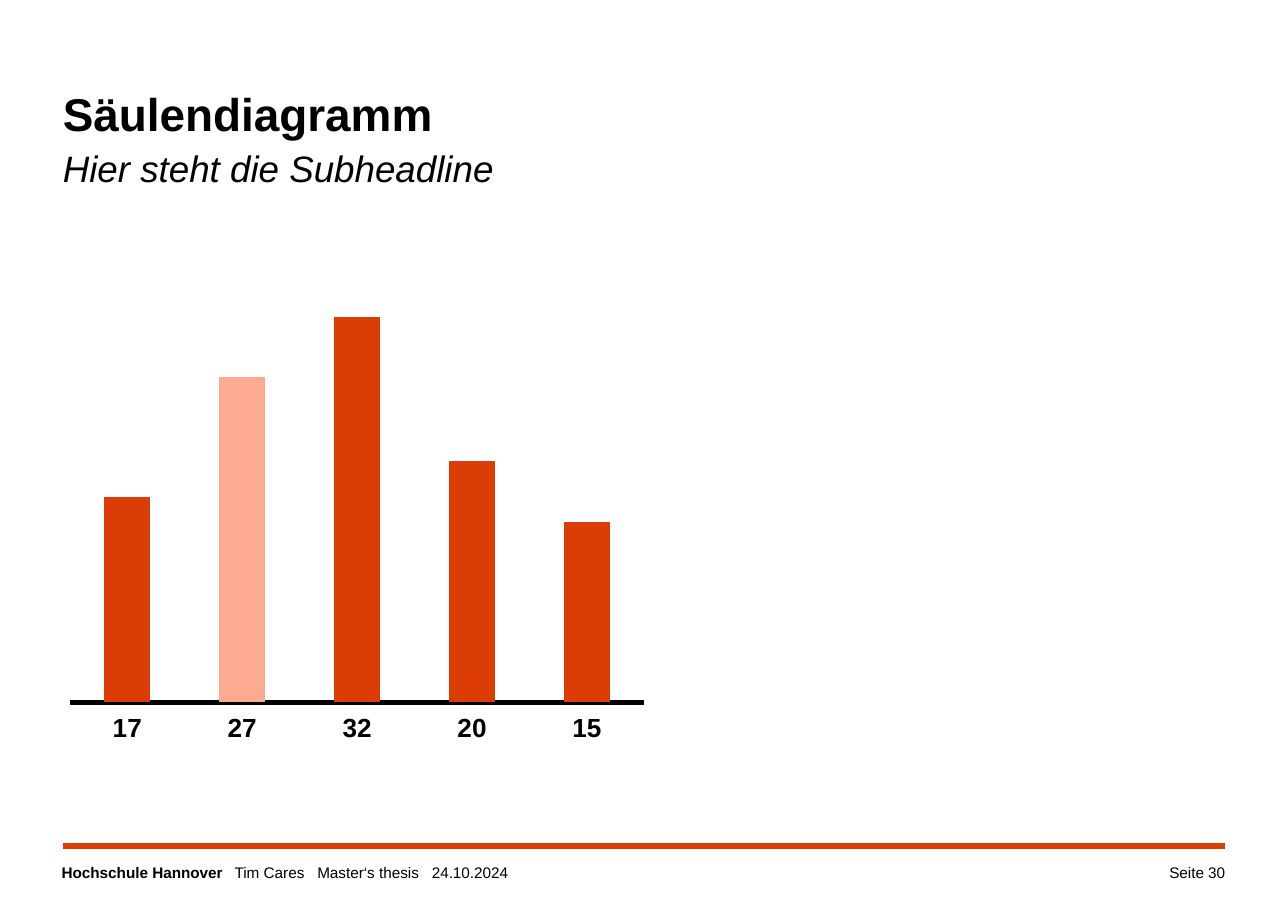
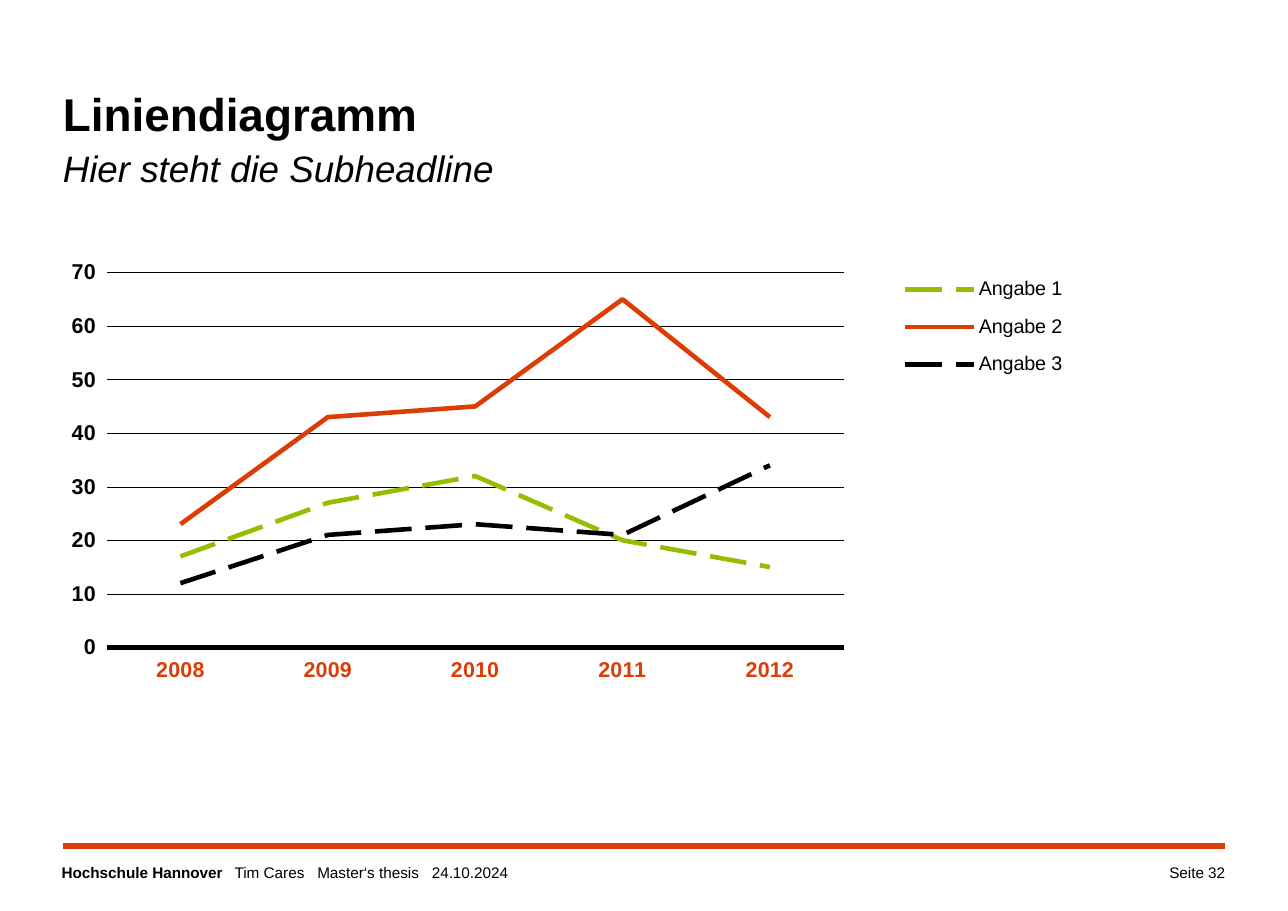
from lxml import etree
from pptx import Presentation
from pptx.chart.data import CategoryChartData
from pptx.dml.color import RGBColor
from pptx.enum.chart import (XL_CHART_TYPE, XL_LEGEND_POSITION, XL_TICK_LABEL_POSITION,
                             XL_TICK_MARK)
from pptx.enum.dml import MSO_LINE
from pptx.enum.shapes import MSO_CONNECTOR
from pptx.enum.text import MSO_ANCHOR, PP_ALIGN
from pptx.oxml.ns import qn
from pptx.util import Pt

COLUMN, LINE = XL_CHART_TYPE.COLUMN_CLUSTERED, XL_CHART_TYPE.LINE
SOLID, DASH = MSO_LINE.SOLID, MSO_LINE.LONG_DASH
LEFT, RIGHT = PP_ALIGN.LEFT, PP_ALIGN.RIGHT
TICK_NONE, TICK_OUT = XL_TICK_MARK.NONE, XL_TICK_MARK.OUTSIDE
LABELS_LOW = XL_TICK_LABEL_POSITION.LOW
STRAIGHT = MSO_CONNECTOR.STRAIGHT

BLACK = RGBColor(0x00, 0x00, 0x00)
ORANGE = RGBColor(0xDC, 0x3C, 0x05)
PALE = RGBColor(0xFC, 0xAB, 0x90)
GREEN = RGBColor(0x96, 0xBE, 0x00)
FONT = "Arial"
PX = 9144  # 100 px to the inch

# Content
SUBTITLE = "Hier steht die Subheadline"
FOOTER = ["Hochschule Hannover", "Tim Cares", "Master‘s thesis", "24.10.2024"]
FOOTER_TABS = [157, 232, 336]
SLIDES = [
    dict(title="Säulendiagramm", page=30, kind=COLUMN, box=(47, 240, 549, 485),
         plot=(0.03, 0.03, 0.95, 0.79), top=35, size=17.1, label_color=BLACK,
         categories=["17", "27", "32", "20", "15"],
         series=[("Series 1", [17, 27, 32, 20, 15], ORANGE, SOLID)],
         highlights={1: PALE}),
    dict(title="Liniendiagramm", page=32, kind=LINE, box=(31, 200, 942, 431),
         plot=(0.07, 0.11, 0.71, 0.79), top=70, size=14, label_color=ORANGE,
         categories=["2008", "2009", "2010", "2011", "2012"],
         series=[("Angabe 1", [17, 27, 32, 20, 15], GREEN, DASH),
                 ("Angabe 2", [23, 43, 45, 65, 43], ORANGE, SOLID),
                 ("Angabe 3", [12, 21, 23, 21, 34], BLACK, DASH)],
         legend=(0.83, 0.09, 0.17, 0.27)),
]


def emu(*lengths):
    return [round(n * PX) for n in lengths]


def set_font(font, size, color=BLACK, **extra):
    for name, value in dict(name=FONT, size=Pt(size), **extra).items():
        setattr(font, name, value)
    font.color.rgb = color


def set_line(line, color, width, dash=SOLID):
    line.color.rgb = color
    line.width = Pt(width)
    line.dash_style = dash


def set_frame(tf):
    frame = dict(margin_left=0, margin_top=0, margin_right=0, margin_bottom=0,
                 word_wrap=True, vertical_anchor=MSO_ANCHOR.TOP)
    for name, value in frame.items():
        setattr(tf, name, value)


def add_run(p, text, size, **extra):
    r = p.add_run()
    r.text = text
    set_font(r.font, size, **extra)


def add_text(s, box, align=LEFT):
    tf = s.shapes.add_textbox(*emu(*box)).text_frame
    set_frame(tf)
    p = tf.paragraphs[0]
    p.alignment = align
    return p


def add_title(s, title):
    sp = s.shapes.title
    sp.left, sp.top, sp.width, sp.height = emu(57, 73, 1055, 104)
    set_frame(sp.text_frame)
    p = sp.text_frame.paragraphs[0]
    p.alignment = LEFT
    p.line_spacing = 1.1
    add_run(p, title, 30, bold=True)
    p.add_line_break()
    add_run(p, SUBTITLE, 24, bold=False, italic=True)


def add_footer(s, page):
    rule = s.shapes.add_connector(STRAIGHT, *emu(57, 768, 1112, 768))
    set_line(rule.line, ORANGE, 4)
    etree.SubElement(rule._element.spPr, qn("a:effectLst"))

    p = add_text(s, (56, 784, 844, 24))
    tabs = etree.SubElement(p._p.get_or_add_pPr(), qn("a:tabLst"))
    for pos in emu(*FOOTER_TABS):
        etree.SubElement(tabs, qn("a:tab"), pos=str(pos), algn="l")
    add_run(p, FOOTER[0], 10, bold=True)
    for part in FOOTER[1:]:
        add_run(p, "\t" + part, 10, bold=False)

    add_run(add_text(s, (978, 784, 134, 25), RIGHT), f"Seite {page}", 10)


def set_layout(parent, index, box, inner=False):
    """Place a plot area or legend by fractions of the chart."""
    for old in parent.findall(qn("c:layout")):
        parent.remove(old)
    layout = etree.Element(qn("c:layout"))
    manual = etree.SubElement(layout, qn("c:manualLayout"))
    values = [("layoutTarget", "inner")] if inner else []
    values += [("xMode", "edge"), ("yMode", "edge"), *zip("xywh", box)]
    for tag, value in values:
        etree.SubElement(manual, qn("c:" + tag), val=str(value))
    parent.insert(index, layout)


def style_axes(chart, spec_):
    cat, val = chart.category_axis, chart.value_axis
    cat.major_tick_mark = cat.minor_tick_mark = TICK_NONE
    cat.tick_label_position = LABELS_LOW
    set_font(cat.tick_labels.font, spec_["size"], spec_["label_color"], bold=True)
    set_line(cat.format.line, BLACK, 3)

    val.minimum_scale, val.maximum_scale = 0, spec_["top"]
    if spec_["kind"] == COLUMN:
        val.has_major_gridlines = False
        val.visible = False
        return
    val.major_unit = 10
    val.major_tick_mark, val.minor_tick_mark = TICK_OUT, TICK_NONE
    set_font(val.tick_labels.font, spec_["size"], bold=True)
    val.format.line.fill.background()
    set_line(val.major_gridlines.format.line, BLACK, 0.25)


def style_series(chart, spec_):
    plot = chart.plots[0]
    plot.vary_by_categories = False
    if spec_["kind"] == COLUMN:
        plot.gap_width = 150
    for series, (_, _, color, dash) in zip(plot.series, spec_["series"]):
        if spec_["kind"] == LINE:
            series.smooth = False
            set_line(series.format.line, color, 3, dash)
            continue
        series.format.fill.solid()
        series.format.fill.fore_color.rgb = color
        for i, point_color in spec_["highlights"].items():
            fill = series.points[i].format.fill
            fill.solid()
            fill.fore_color.rgb = point_color


def add_diagram(s, spec_):
    data = CategoryChartData()
    data.categories = spec_["categories"]
    for name, values, _, _ in spec_["series"]:
        data.add_series(name, values)
    chart = s.shapes.add_chart(spec_["kind"], *emu(*spec_["box"]), data).chart
    chart.has_title = False
    set_font(chart.font, spec_["size"])
    style_axes(chart, spec_)
    style_series(chart, spec_)
    set_layout(chart._chartSpace.chart.plotArea, 0, spec_["plot"], inner=True)

    chart.has_legend = "legend" in spec_
    if chart.has_legend:
        legend = chart.legend
        legend.position = XL_LEGEND_POSITION.RIGHT
        legend.include_in_layout = False
        set_font(legend.font, 12.9)
        set_layout(legend._element, 1, spec_["legend"])


def main():
    prs = Presentation()
    prs.slide_width, prs.slide_height = emu(1169, 827)
    for slide in SLIDES:
        s = prs.slides.add_slide(prs.slide_layouts[5])
        add_footer(s, slide["page"])
        add_diagram(s, slide)
        add_title(s, slide["title"])
    prs.save("out.pptx")


if __name__ == "__main__":
    main()
